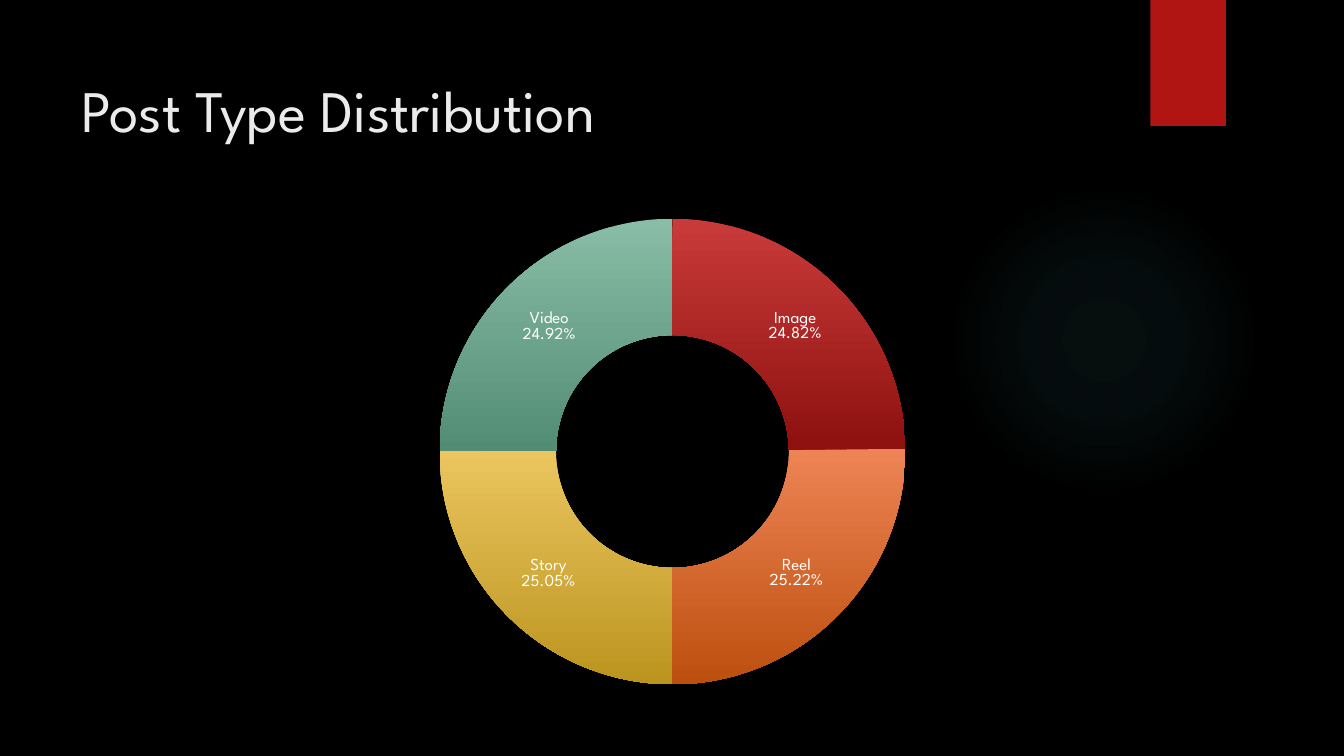
from dataclasses import dataclass

from lxml import etree
from pptx import Presentation
from pptx.chart.data import CategoryChartData
from pptx.dml.color import RGBColor
from pptx.enum.chart import XL_CHART_TYPE
from pptx.enum.shapes import MSO_SHAPE
from pptx.enum.text import MSO_ANCHOR, PP_ALIGN
from pptx.oxml import parse_xml
from pptx.oxml.ns import qn
from pptx.util import Inches, Pt

RING = XL_CHART_TYPE.DOUGHNUT
RECT, OVAL = MSO_SHAPE.RECTANGLE, MSO_SHAPE.OVAL
TOP, LEFT = MSO_ANCHOR.TOP, PP_ALIGN.LEFT
TITLE_ONLY = 5
DRAW = "http://schemas.openxmlformats.org/drawingml/2006/main"
CHART = "http://schemas.openxmlformats.org/drawingml/2006/chart"


@dataclass(frozen=True)
class Theme:
    font: str = "League Spartan"
    back: str = "000000"
    title: str = "EBEBEB"
    label: str = "FFFFFF"
    flag: str = "B01513"
    glow: str = "50B9C1"
    title_size: int = 42
    label_size: int = 12
    base_size: int = 10


THEME = Theme()

# Post type, share in percent, top and bottom colour of its slice
POSTS = [
    ("Image", 24.82, "C93B3A", "8D110F"),
    ("Reel", 25.22, "EE8455", "BC4F0E"),
    ("Story", 25.05, "EBC65F", "BB941F"),
    ("Video", 24.92, "89BDA7", "538C74"),
]


def rgb(code):
    return RGBColor.from_string(code)


def style(font, size, color):
    font.name = THEME.font
    font.size = Pt(size)
    font.color.rgb = rgb(color)


def write(frame, text, size, color, align=LEFT, anchor=TOP, inset=0.05):
    frame.word_wrap = True
    frame.vertical_anchor = anchor
    frame.margin_top = Inches(inset)
    para = frame.paragraphs[0]
    para.alignment = align
    run = para.add_run()
    run.text = text
    style(run.font, size, color)


def place(item, left, top, width, height):
    item.left, item.top = Inches(left), Inches(top)
    item.width, item.height = Inches(width), Inches(height)


def add_shape(slide, kind, box, color):
    shape = slide.shapes.add_shape(kind, *map(Inches, box))
    shape.shadow.inherit = False
    shape.fill.solid()
    shape.fill.fore_color.rgb = rgb(color)
    shape.line.fill.background()
    return shape


def add_glow(slide, box, color, stops):
    """Circle that fades outward; stops are (position, opacity) in percent."""
    shape = add_shape(slide, OVAL, box, color)
    marks = "".join(
        f'<a:gs pos="{pos * 1000}"><a:srgbClr val="{color}">'
        f'<a:alpha val="{alpha * 1000}"/></a:srgbClr></a:gs>'
        for pos, alpha in stops
    )
    fade = parse_xml(
        f'<a:gradFill xmlns:a="{DRAW}" rotWithShape="1"><a:gsLst>{marks}</a:gsLst>'
        '<a:path path="circle"><a:fillToRect l="50000" t="50000" r="50000" b="50000"/>'
        "</a:path></a:gradFill>"
    )
    props = shape.element.spPr
    props.replace(props.find(qn("a:solidFill")), fade)


def shade(point, upper, lower):
    fill = point.format.fill
    fill.gradient()
    fill.gradient_angle = 270
    for stop, color in zip(fill.gradient_stops, (upper, lower)):
        stop.color.rgb = rgb(color)
    point.format.line.fill.background()


def set_labels(series):
    labels = series.data_labels
    labels.show_value = False
    labels.show_category_name = True
    labels.show_percentage = True
    labels.number_format = "0.00%"
    labels.number_format_is_linked = False
    style(labels.font, THEME.label_size, THEME.label)
    # Put the name and the share on separate lines
    root = series._element.find(qn("c:dLbls"))
    split = etree.Element(qn("c:separator"))
    split.text = "\n"
    root.find(qn("c:showPercent")).addnext(split)
    bubble = root.find(qn("c:showBubbleSize"))
    if bubble is not None:
        split.addprevious(bubble)


def set_plot(chart, width, height, ring):
    """Centre a ring of the given diameter in the chart."""
    wide, high = ring / width, ring / height
    area = chart._chartSpace.chart.plotArea
    old = area.find(qn("c:layout"))
    if old is not None:
        area.remove(old)
    area.insert(0, parse_xml(
        f'<c:layout xmlns:c="{CHART}"><c:manualLayout><c:layoutTarget val="inner"/>'
        '<c:xMode val="edge"/><c:yMode val="edge"/>'
        f'<c:x val="{(1 - wide) / 2}"/><c:y val="{(1 - high) / 2}"/>'
        f'<c:w val="{wide}"/><c:h val="{high}"/></c:manualLayout></c:layout>'
    ))


def add_ring(slide, box, posts, ring, hole):
    data = CategoryChartData()
    data.categories = [post[0] for post in posts]
    data.add_series("Series 1", [post[1] for post in posts])
    chart = slide.shapes.add_chart(RING, *map(Inches, box), data).chart
    chart.has_title = False
    chart.has_legend = False
    style(chart.font, THEME.base_size, THEME.label)
    plot = chart.plots[0]
    plot.vary_by_categories = True
    plot._element.find(qn("c:holeSize")).set("val", str(hole))
    series = plot.series[0]
    for index, (_, _, upper, lower) in enumerate(posts):
        shade(series.points[index], upper, lower)
    set_labels(series)
    set_plot(chart, box[2], box[3], ring)


def main():
    deck = Presentation()
    deck.slide_width, deck.slide_height = Inches(13.33), Inches(7.5)
    slide = deck.slides.add_slide(deck.slide_layouts[TITLE_ONLY])
    slide.background.fill.solid()
    slide.background.fill.fore_color.rgb = rgb(THEME.back)

    # Backdrop
    add_glow(slide, (9.41, 1.83, 3.08, 3.08), THEME.glow, [(0, 7), (36, 6), (69, 0)])
    add_shape(slide, RECT, (11.41, 0, 0.75, 1.25), THEME.flag)

    # Title
    title = slide.shapes.title
    place(title, 0.71, 0.5, 10.29, 1.53)
    write(title.text_frame, "Post Type Distribution", size=THEME.title_size,
          color=THEME.title, inset=0.23)

    # Share of each post type
    add_ring(slide, (3.88, 2.03, 5.58, 4.9), POSTS, ring=4.62, hole=75)

    deck.save("out.pptx")


if __name__ == "__main__":
    main()
